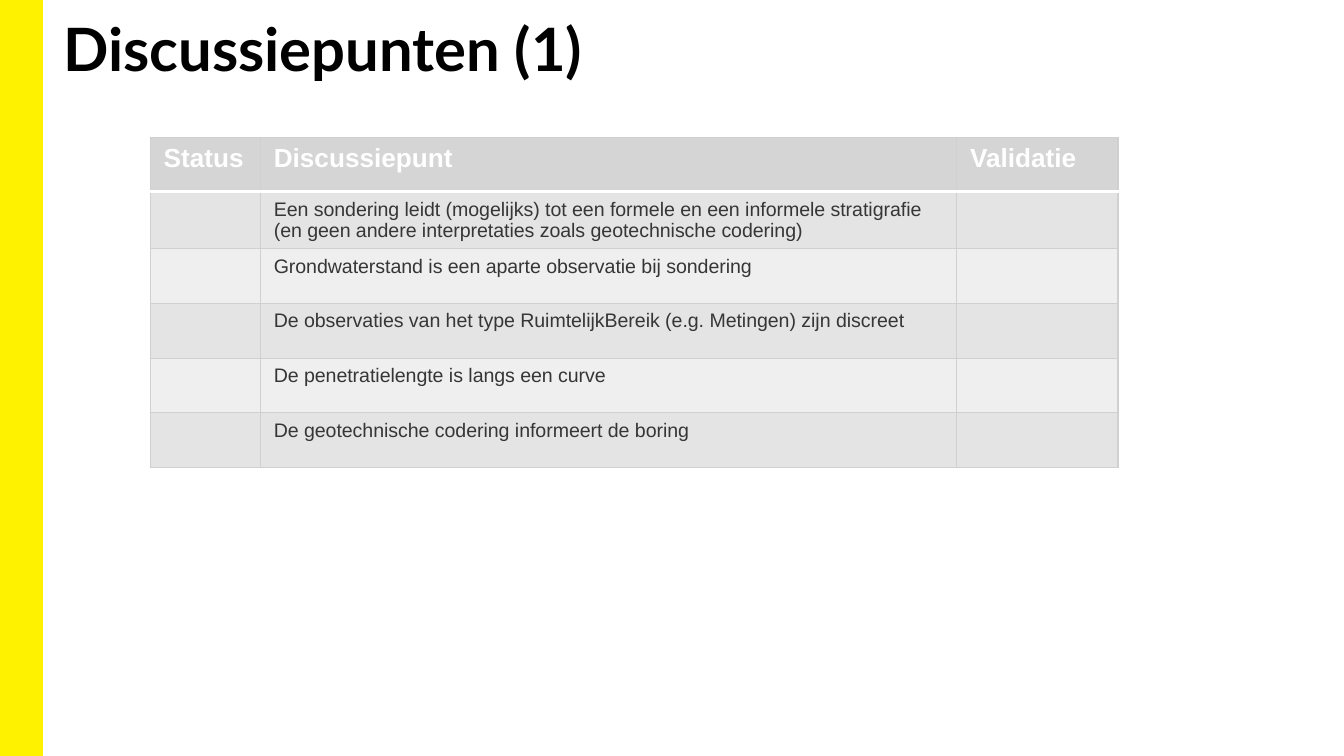
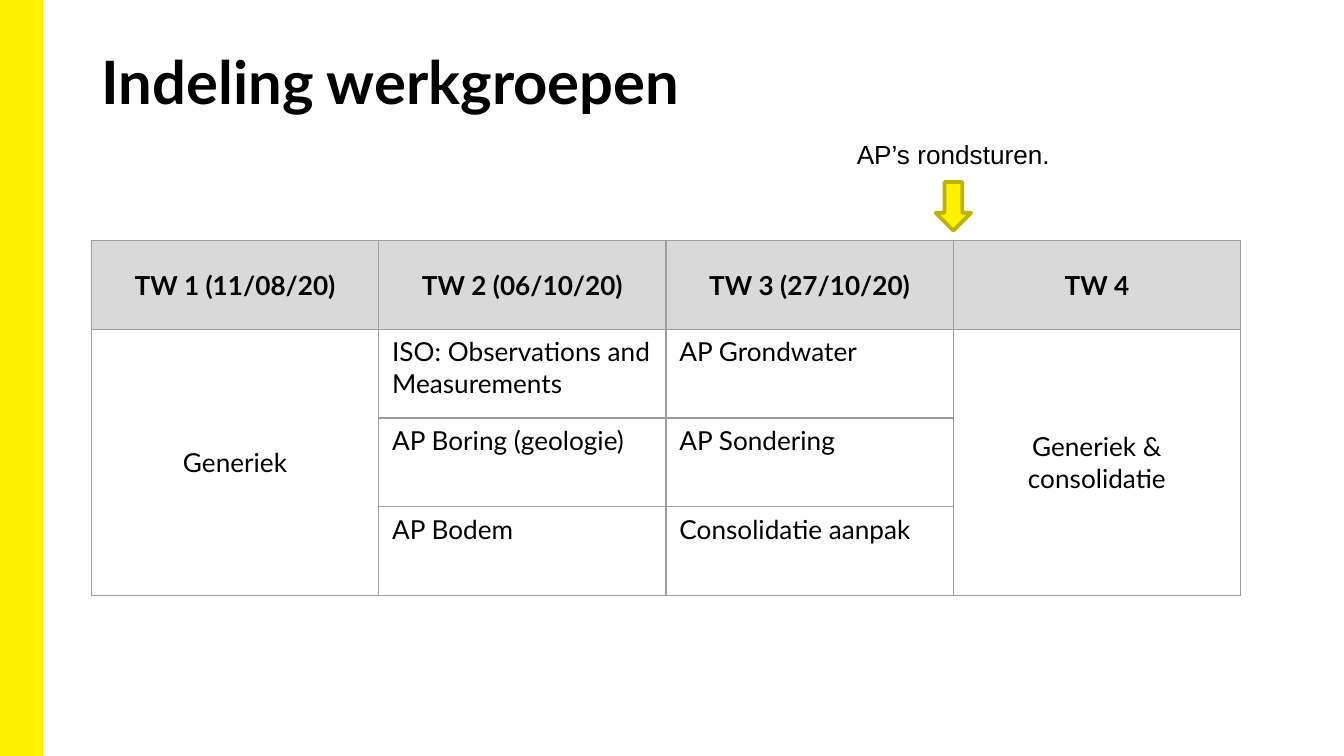
from lxml.etree import SubElement
from pptx import Presentation
from pptx.dml.color import RGBColor
from pptx.enum.shapes import MSO_SHAPE
from pptx.enum.text import MSO_ANCHOR, PP_ALIGN
from pptx.oxml.ns import qn
from pptx.util import Pt

YELLOW, OLIVE = "FFF200", "BDB300"
BLACK, WHITE, DARK = "000000", "FFFFFF", "373636"
HEADER, BAND_ODD, BAND_EVEN, BORDER = "D5D5D5", "E4E4E4", "EFEFEF", "D0D0D0"
GROUP_HEADER, GROUP_BORDER = "D9D9D9", "9E9E9E"
WIDTH, HEIGHT = 720, 405

POINTS = [
    "Een sondering leidt (mogelijks) tot een formele en een informele stratigrafie "
    "(en geen andere interpretaties zoals geotechnische codering)",
    "Grondwaterstand is een aparte observatie bij sondering",
    "De observaties van het type RuimtelijkBereik (e.g. Metingen) zijn discreet",
    "De penetratielengte is langs een curve",
    "De geotechnische codering informeert de boring",
]
GROUPS = [
    ["TW 1 (11/08/20)", "TW 2 (06/10/20)", "TW 3 (27/10/20)", "TW 4"],
    ["Generiek", "ISO: Observations and Measurements", "AP Grondwater", "Generiek & consolidatie"],
    ["", "AP Boring (geologie)", "AP Sondering", ""],
    ["", "AP Bodem", "Consolidatie aanpak", ""],
]


def color(value):
    """Turn a hex string into a colour."""
    return RGBColor.from_string(value)


def write(frame, text, font="Arial", size=14, ink=BLACK, bold=False,
          align=PP_ALIGN.LEFT, anchor=MSO_ANCHOR.TOP):
    """Put one formatted paragraph into a text frame."""
    frame.word_wrap = True
    frame.vertical_anchor = anchor
    para = frame.paragraphs[0]
    para.alignment = align
    span = para.add_run()
    span.text = text
    span.font.name, span.font.size, span.font.bold = font, Pt(size), bold
    span.font.color.rgb = color(ink)


def add_figure(page, kind, box, fill, line, weight):
    """Add a filled and outlined preset shape."""
    figure = page.shapes.add_shape(kind, *map(Pt, box))
    figure.shadow.inherit = False
    figure.fill.solid()
    figure.fill.fore_color.rgb = color(fill)
    figure.line.color.rgb = color(line)
    figure.line.width = Pt(weight)


def add_page(deck, title, left, top):
    """Add a slide with the yellow side band and its title."""
    page = deck.slides.add_slide(deck.slide_layouts[5])
    add_figure(page, MSO_SHAPE.RECTANGLE, (0, 0, 22.5, HEIGHT), YELLOW, YELLOW, 1)
    box = page.shapes.title
    box.left, box.top, box.width, box.height = map(Pt, (left, top, 620.5, 58.5))
    frame = box.text_frame
    frame.margin_left = frame.margin_right = Pt(5)
    frame.margin_top = frame.margin_bottom = Pt(2.7)
    write(frame, title, font="Lato", size=32, bold=True)
    return page


def add_grid(page, left, top, columns, row_height, rows):
    """Add a table without style banding, from column widths and a row height."""
    table = page.shapes.add_table(
        rows, len(columns), Pt(left), Pt(top), Pt(sum(columns)), Pt(row_height * rows)).table
    table.first_row = table.horz_banding = False
    for column, width in zip(table.columns, columns):
        column.width = Pt(width)
    for row in table.rows:
        row.height = Pt(row_height)
    return table


def style_cell(cell, fill, border, **edges):
    """Set the four borders and the fill; edges maps T or B to a colour and weight."""
    properties = cell._tc.get_or_add_tcPr()
    for side in "LRTB":
        ink, weight = edges.get(side, (border, 0.75))
        line = SubElement(properties, qn(f"a:ln{side}"), w=str(Pt(weight)))
        SubElement(SubElement(line, qn("a:solidFill")), qn("a:srgbClr"), val=ink)
    if fill:
        cell.fill.solid()
        cell.fill.fore_color.rgb = color(fill)
    else:
        cell.fill.background()


def add_discussion_table(page, left, top):
    """Add the banded table of discussion points."""
    rows = [["Status", "Discussiepunt", "Validatie"]] + [["", point, ""] for point in POINTS]
    table = add_grid(page, left, top, (59, 373, 86.5), 29.3, len(rows))
    rule = (WHITE, 2)
    for index, texts in enumerate(rows):
        fill = HEADER if index == 0 else BAND_ODD if index % 2 else BAND_EVEN
        edges = {0: {"B": rule}, 1: {"T": rule}}.get(index, {})
        look = {"ink": DARK, "size": 10.5} if index else {"ink": WHITE, "bold": True}
        for cell, text in zip(table.rows[index].cells, texts):
            style_cell(cell, fill, BORDER, **edges)
            if text:
                write(cell.text_frame, text, **look)


def add_group_table(page, left, top):
    """Add the table of working groups with merged outer columns."""
    table = add_grid(page, left, top, [153.9] * 4, 47.5, len(GROUPS))
    for index, texts in enumerate(GROUPS):
        for number, text in enumerate(texts):
            cell = table.cell(index, number)
            style_cell(cell, None if index else GROUP_HEADER, GROUP_BORDER)
            if not text:
                continue
            write(cell.text_frame, text, font="Lato", bold=index == 0)
            if index == 0 or number in (0, 3):
                cell.vertical_anchor = MSO_ANCHOR.MIDDLE
                cell.text_frame.paragraphs[0].alignment = PP_ALIGN.CENTER
    for number in (0, 3):
        table.cell(1, number).merge(table.cell(3, number))


def add_callout(page, left, top, width):
    """Add the centred note with a down arrow below it."""
    box = page.shapes.add_textbox(Pt(left), Pt(top), Pt(width), Pt(24.5))
    write(box.text_frame, "AP’s rondsturen.", align=PP_ALIGN.CENTER)
    arrow = (left + (width - 19) / 2, top + 27, 19, 26)
    add_figure(page, MSO_SHAPE.DOWN_ARROW, arrow, YELLOW, OLIVE, 2)


def main():
    """Build both slides and save the deck."""
    deck = Presentation()
    deck.slide_width, deck.slide_height = Pt(WIDTH), Pt(HEIGHT)
    page = add_page(deck, "Discussiepunten (1)", 29, 3.5)
    add_discussion_table(page, 80.5, 73.5)
    page = add_page(deck, "Indeling werkgroepen", 49.5, 21.5)
    add_group_table(page, 49, 129)
    add_callout(page, 438, 70.5, 145.5)
    deck.save("out.pptx")


if __name__ == "__main__":
    main()
